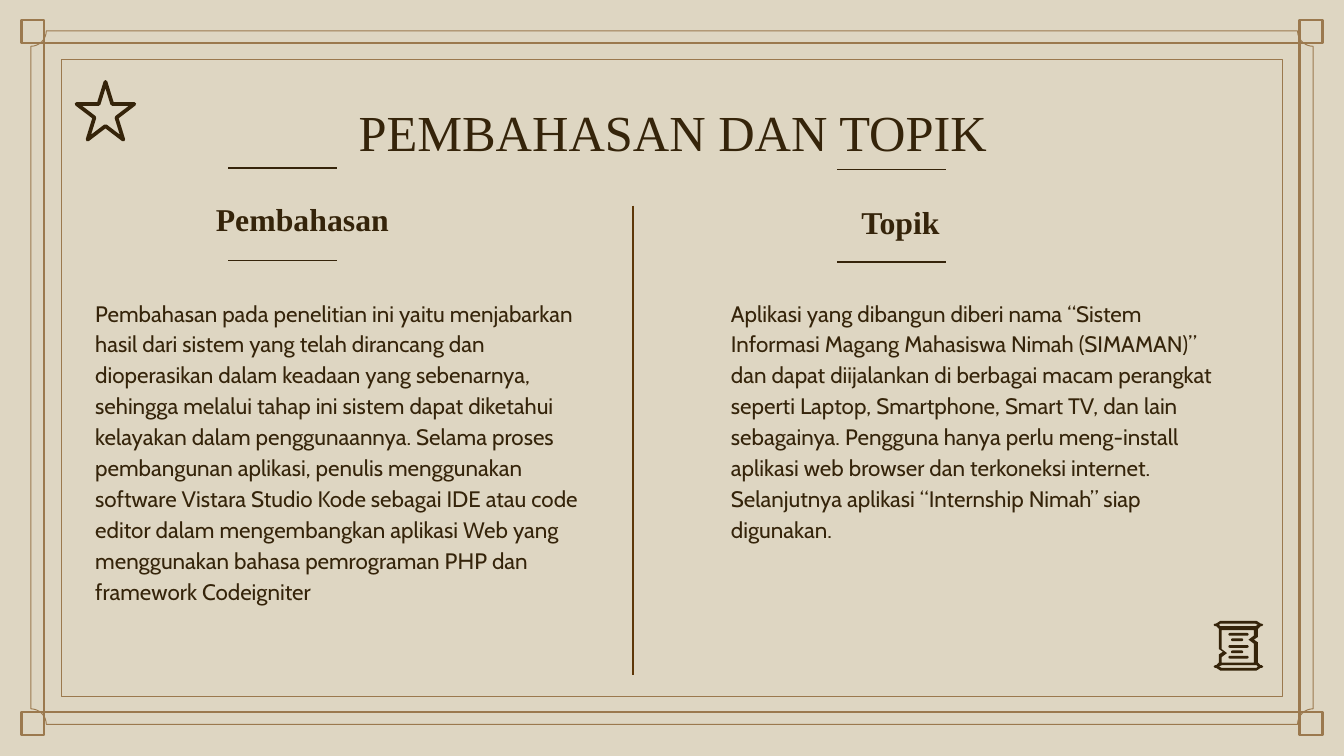
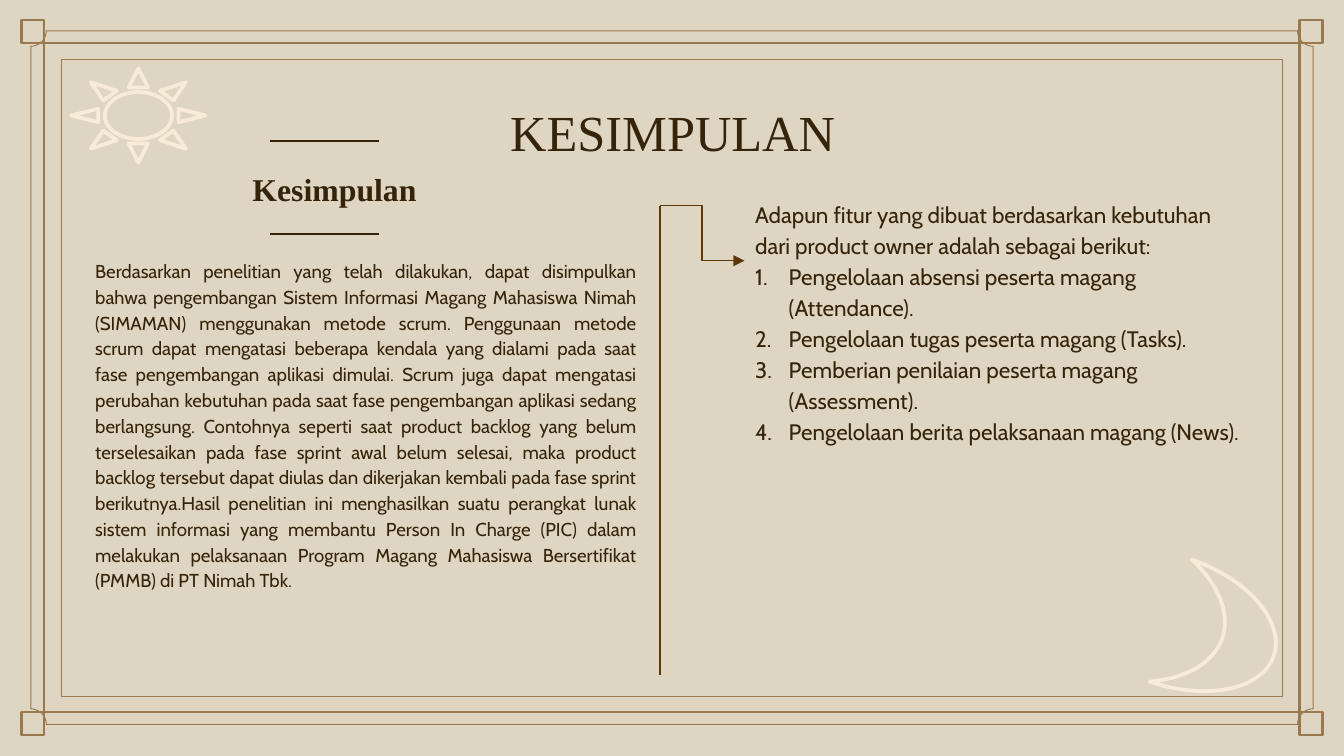
from dataclasses import dataclass
from itertools import product
from math import cos, pi, sin
from typing import Optional

from lxml.etree import SubElement
from pptx import Presentation
from pptx.dml.color import RGBColor
from pptx.enum.shapes import MSO_CONNECTOR as Link, MSO_SHAPE as Preset
from pptx.enum.text import MSO_ANCHOR as Anchor, PP_ALIGN as Align
from pptx.oxml.ns import qn
from pptx.util import Emu, Pt

PX = 9144
WIDTH = 1000
PAPER, INK, BRONZE, BROWN, CREAM = "DED6C2", "35240A", "9B794E", "5E3708", "F8ECD9"
SERIF, SANS = "Times New Roman", "Cabin"
RULE_WIDTH, RULE_GAP = 81, 69


@dataclass(frozen=True)
class Box:
    left: int
    top: int
    width: int
    height: int


@dataclass(frozen=True)
class Style:
    font: str
    size: int
    align: Align = Align.LEFT
    anchor: Anchor = Anchor.TOP
    spacing: float = 1.15
    bold: bool = False


@dataclass(frozen=True)
class Passage:
    area: Box
    style: Style
    paragraphs: tuple[str, ...]
    numbered: tuple[str, ...] = ()


@dataclass(frozen=True)
class Ornament:
    preset: Preset
    area: Box
    outline: str
    rotation: int = 0
    mirrored: bool = False


TITLE = Style(SERIF, 27, Align.CENTER, spacing=1.0)
HEADING = Style(SERIF, 17, Align.CENTER, Anchor.BOTTOM, bold=True)
BODY = Style(SANS, 12)
DENSE = Style(SANS, 10, Align.JUSTIFY)

DISCUSSION = (
    "Pembahasan pada penelitian ini yaitu menjabarkan hasil dari sistem yang telah "
    "dirancang dan dioperasikan dalam keadaan yang sebenarnya, sehingga melalui tahap "
    "ini sistem dapat diketahui kelayakan dalam penggunaannya. Selama proses pembangunan "
    "aplikasi, penulis menggunakan software Vistara Studio Kode sebagai IDE atau code "
    "editor dalam mengembangkan aplikasi Web yang menggunakan bahasa pemrograman PHP dan "
    "framework Codeigniter"
)
TOPIC = (
    "Aplikasi yang dibangun diberi nama “Sistem Informasi Magang Mahasiswa Nimah "
    "(SIMAMAN)” dan dapat diijalankan di berbagai macam perangkat seperti Laptop, "
    "Smartphone, Smart TV, dan lain sebagainya. Pengguna hanya perlu meng-install "
    "aplikasi web browser dan terkoneksi internet. Selanjutnya aplikasi “Internship "
    "Nimah” siap digunakan."
)
CONCLUSION = (
    "Berdasarkan penelitian yang telah dilakukan, dapat disimpulkan bahwa pengembangan "
    "Sistem Informasi Magang Mahasiswa Nimah (SIMAMAN) menggunakan metode scrum. "
    "Penggunaan metode scrum dapat mengatasi beberapa kendala yang dialami pada saat fase "
    "pengembangan aplikasi dimulai. Scrum juga dapat mengatasi perubahan kebutuhan pada "
    "saat fase pengembangan aplikasi sedang berlangsung. Contohnya seperti saat product "
    "backlog yang belum terselesaikan pada fase sprint awal belum selesai, maka product "
    "backlog tersebut dapat diulas dan dikerjakan kembali pada fase sprint berikutnya."
    "Hasil penelitian ini menghasilkan suatu perangkat lunak sistem informasi yang "
    "membantu Person In Charge (PIC) dalam melakukan pelaksanaan Program Magang Mahasiswa "
    "Bersertifikat (PMMB) di PT Nimah Tbk."
)
FEATURES_INTRO = (
    "Adapun fitur yang dibuat berdasarkan kebutuhan dari product owner adalah sebagai "
    "berikut:"
)
FEATURES = (
    "Pengelolaan absensi peserta magang (Attendance).",
    "Pengelolaan tugas peserta magang (Tasks).",
    "Pemberian penilaian peserta magang (Assessment).",
    "Pengelolaan berita pelaksanaan magang (News).",
)

Points = list[tuple[float, float]]

SCROLL_EDGE: Points = [
    (908, 462), (905, 464), (904, 464), (903, 465), (904, 466), (905, 466), (907, 468),
    (907, 483), (910, 485), (907, 487), (907, 493), (905, 495), (904, 495), (903, 496),
    (904, 497), (905, 497), (908, 499),
]
SCROLL_ROLL: Points = [(934, 464), (936, 465), (934, 466), (908, 466), (907, 465), (908, 464)]
SCROLL_PAGE: Points = [(909, 469), (933, 469), (933, 473), (929, 476), (933, 479)]


def px(length: float) -> Emu:
    return Emu(round(length * PX))


def color(code: str) -> RGBColor:
    return RGBColor.from_string(code)


def paint(shape, fill: Optional[str] = None, outline: Optional[str] = None,
          weight: float = 1) -> None:
    shape.shadow.inherit = False
    if fill:
        shape.fill.solid()
        shape.fill.fore_color.rgb = color(fill)
    else:
        shape.fill.background()
    if outline:
        shape.line.color.rgb = color(outline)
        shape.line.width = Pt(weight)
    else:
        shape.line.fill.background()


def place(slide, preset: Preset, area: Box):
    return slide.shapes.add_shape(
        preset, px(area.left), px(area.top), px(area.width), px(area.height))


def trace(slide, *contours: Points):
    first, *others = [[(px(x), px(y)) for x, y in contour] for contour in contours]
    outline = slide.shapes.build_freeform(*first[0], scale=1.0)
    outline.add_line_segments(first[1:], close=True)
    for contour in others:
        outline.move_to(*contour[0])
        outline.add_line_segments(contour[1:], close=True)
    return outline.convert_to_shape()


def connect(slide, kind: Link, start: tuple[int, int], end: tuple[int, int],
            stroke: str, arrow: bool = False) -> None:
    link = slide.shapes.add_connector(kind, *map(px, start + end))
    link.line.color.rgb = color(stroke)
    link.line.width = Pt(0.75)
    if arrow:
        SubElement(link.line._get_or_add_ln(), qn("a:tailEnd"), type="triangle")
    SubElement(link._element.spPr, qn("a:effectLst"))


def number(paragraph) -> None:
    properties = paragraph._p.get_or_add_pPr()
    properties.set("marL", str(px(25)))
    properties.set("indent", str(px(-25)))
    tint = SubElement(properties, qn("a:buClr"))
    SubElement(tint, qn("a:srgbClr"), val=INK)
    SubElement(properties, qn("a:buFont"), typeface=SANS)
    SubElement(properties, qn("a:buAutoNum"), type="arabicPeriod")


def write(slide, passage: Passage) -> None:
    area, style = passage.area, passage.style
    frame = slide.shapes.add_textbox(
        px(area.left), px(area.top), px(area.width), px(area.height)).text_frame
    frame.word_wrap = True
    frame.vertical_anchor = style.anchor
    frame.margin_left = frame.margin_right = frame.margin_top = frame.margin_bottom = px(10)
    for index, words in enumerate(passage.paragraphs + passage.numbered):
        paragraph = frame.add_paragraph() if index else frame.paragraphs[0]
        paragraph.alignment = style.align
        paragraph.line_spacing = style.spacing
        if index >= len(passage.paragraphs):
            number(paragraph)
        run = paragraph.add_run()
        run.text = words
        run.font.name = style.font
        run.font.size = Pt(style.size)
        run.font.bold = style.bold
        run.font.color.rgb = color(INK)


def draw_border(slide) -> None:
    for left, top in product((16, 967), (15, 530)):
        paint(place(slide, Preset.RECTANGLE, Box(left, top, 17, 17)), None, BRONZE, 1.28)
    paint(place(slide, Preset.RECTANGLE, Box(33, 32, 934, 498)), None, BRONZE, 1.28)
    paint(place(slide, Preset.RECTANGLE, Box(46, 44, 908, 474)), None, BRONZE, 0.5)
    corners = ((23, 23), (977, 23), (977, 539), (23, 539))
    steps = 8
    scalloped = [
        (x + 11.5 * cos(angle), y + 11.5 * sin(angle))
        for quarter, (x, y) in enumerate(corners)
        for angle in ((quarter + 1 - step / steps) * pi / 2 for step in range(steps + 1))
    ]
    paint(trace(slide, scalloped), None, BRONZE, 0.5)


def draw_rules(slide, left: int, top: int) -> None:
    for y in (top, top + RULE_GAP):
        connect(slide, Link.STRAIGHT, (left, y), (left + RULE_WIDTH, y), INK)


def draw_divider(slide, x: int) -> None:
    connect(slide, Link.STRAIGHT, (x, 153), (x, 502), BROWN)


def draw_ornament(slide, ornament: Ornament) -> None:
    figure = place(slide, ornament.preset, ornament.area)
    paint(figure, PAPER, ornament.outline, 2)
    figure.rotation = ornament.rotation
    if ornament.mirrored:
        figure._element.spPr.find(qn("a:xfrm")).set("flipH", "1")


def turned(points: Points, across: int, down: int) -> Points:
    return [(across - x, down - y) for x, y in points]


def draw_scroll(slide) -> None:
    edge = SCROLL_EDGE + turned(SCROLL_EDGE, 1843, 961)
    page = SCROLL_PAGE + turned(SCROLL_PAGE, 1842, 962)
    paint(trace(slide, edge, SCROLL_ROLL, turned(SCROLL_ROLL, 1843, 961), page), INK)
    for row, top in enumerate((471, 475, 480, 484, 488)):
        left, width = (916, 9) if row % 2 else (914, 15)
        stroke = place(slide, Preset.ROUNDED_RECTANGLE, Box(left, top, width, 2))
        stroke.adjustments[0] = 0.5
        paint(stroke, INK)


def start_slide(deck, title: str, passages: tuple[Passage, ...]):
    slide = deck.slides.add_slide(deck.slide_layouts[6])
    slide.background.fill.solid()
    slide.background.fill.fore_color.rgb = color(PAPER)
    draw_border(slide)
    for passage in (Passage(Box(79, 65, 843, 63), TITLE, (title,)), *passages):
        write(slide, passage)
    return slide


def build_discussion(deck) -> None:
    slide = start_slide(deck, "PEMBAHASAN DAN TOPIK", (
        Passage(Box(534, 210, 385, 271), BODY, (TOPIC,)),
        Passage(Box(61, 210, 385, 249), BODY, (DISCUSSION,)),
        Passage(Box(84, 126, 282, 61), HEADING, ("Pembahasan",)),
        Passage(Box(529, 128, 282, 61), HEADING, ("Topik",)),
    ))
    draw_scroll(slide)
    draw_rules(slide, 170, 125)
    draw_rules(slide, 623, 126)
    draw_divider(slide, 471)
    draw_ornament(slide, Ornament(Preset.STAR_5_POINT, Box(57, 61, 43, 43), INK))


def build_conclusion(deck) -> None:
    slide = start_slide(deck, "KESIMPULAN", (
        Passage(Box(552, 137, 385, 271), BODY, (FEATURES_INTRO,), FEATURES),
        Passage(Box(61, 181, 422, 321), DENSE, (CONCLUSION,)),
        Passage(Box(108, 114, 282, 51), HEADING, ("Kesimpulan",)),
    ))
    draw_rules(slide, 201, 105)
    draw_divider(slide, 491)
    draw_ornament(slide, Ornament(Preset.SUN, Box(53, 51, 100, 70), CREAM))
    draw_ornament(slide, Ornament(Preset.MOON, Box(869, 427, 81, 96), CREAM, 19, True))
    connect(slide, Link.ELBOW, (491, 153), (554, 194), BROWN, arrow=True)


def main() -> None:
    deck = Presentation()
    deck.slide_width = px(WIDTH)
    deck.slide_height = px(WIDTH * 9 / 16)
    build_discussion(deck)
    build_conclusion(deck)
    deck.save("out.pptx")


if __name__ == "__main__":
    main()
